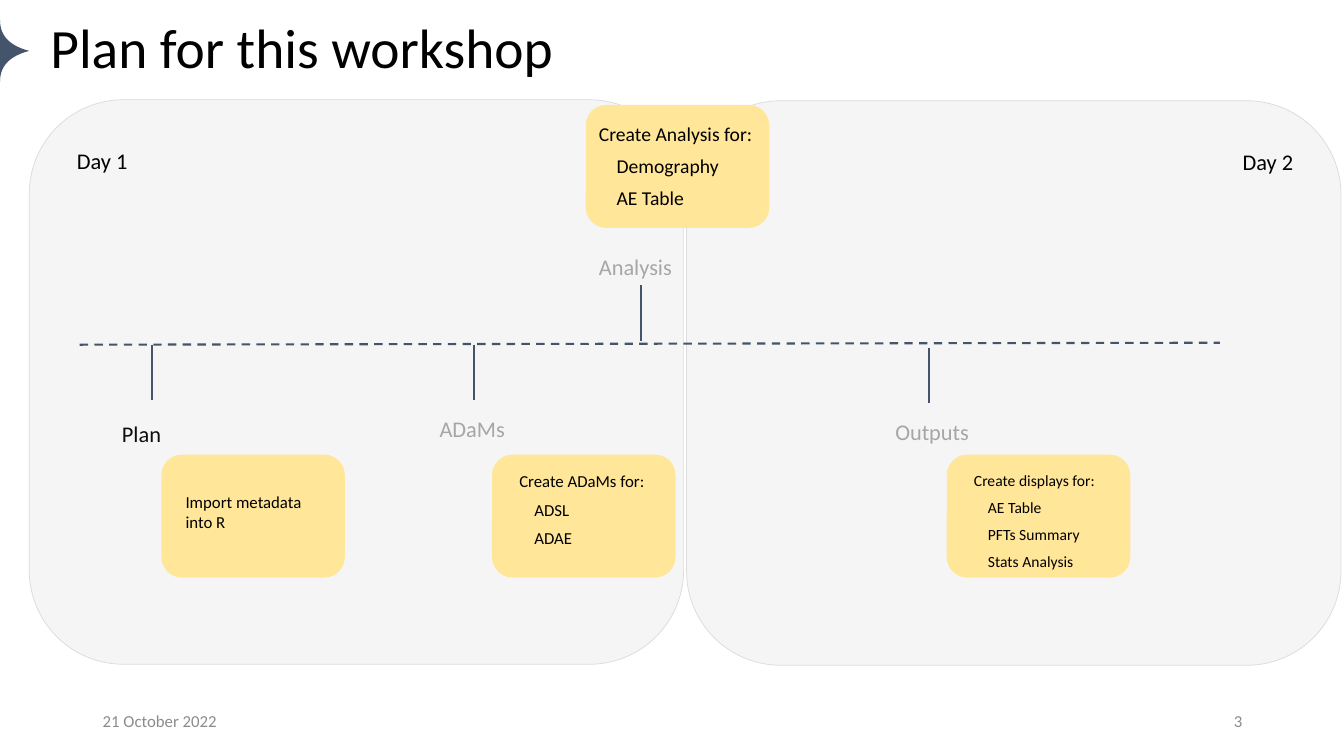
from lxml import etree
from pptx import Presentation
from pptx.dml.color import RGBColor
from pptx.enum.dml import MSO_LINE
from pptx.enum.shapes import MSO_CONNECTOR, MSO_SHAPE
from pptx.enum.text import MSO_ANCHOR, MSO_AUTO_SIZE, PP_ALIGN
from pptx.oxml.ns import qn
from pptx.util import Inches, Pt

ROUND = MSO_SHAPE.ROUNDED_RECTANGLE
STRAIGHT = MSO_CONNECTOR.STRAIGHT
DASH = MSO_LINE.DASH
LEFT, RIGHT = PP_ALIGN.LEFT, PP_ALIGN.RIGHT
TOP, MIDDLE = MSO_ANCHOR.TOP, MSO_ANCHOR.MIDDLE
NO_FIT = MSO_AUTO_SIZE.NONE

BLACK = RGBColor(0x00, 0x00, 0x00)
INK = RGBColor(0x0D, 0x0D, 0x0D)
MUTED = RGBColor(0xA6, 0xA6, 0xA6)
FOOTER = RGBColor(0x8C, 0x8C, 0x8C)
SLATE = RGBColor(0x44, 0x54, 0x6A)
PANEL = RGBColor(0xED, 0xED, 0xED)
PANEL_EDGE = RGBColor(0xDB, 0xDB, 0xDB)
YELLOW = RGBColor(0xFF, 0xE6, 0x99)

FONT = "Calibri"
TICK = 0.55
CARD_W, CARD_H = 1.82, 1.22


def write(shape, lines, size, color=BLACK, align=LEFT, anchor=TOP, inset=0.2,
          wrap=True, gap=3, spacing=None):
    """Fill a shape with lines; every line after the first is indented."""
    tf = shape.text_frame
    tf.word_wrap = wrap
    tf.auto_size = NO_FIT
    tf.vertical_anchor = anchor
    tf.margin_left = tf.margin_right = Inches(inset)
    tf.margin_top = tf.margin_bottom = Inches(min(inset, 0.2) if gap else 0.05)
    for i, line in enumerate(lines):
        p = tf.add_paragraph() if i else tf.paragraphs[0]
        p.alignment = align
        p.space_before = Pt(gap if i else 0)
        p.space_after = Pt(gap)
        if spacing:
            p.line_spacing = spacing
        if i:
            pPr = p._p.get_or_add_pPr()
            pPr.set("marL", str(Pt(0.9 * size)))
            pPr.set("indent", "0")
        r = p.add_run()
        r.text = line
        r.font.name = FONT
        r.font.size = Pt(size)
        r.font.color.rgb = color


def add_text(shapes, box, lines, size, **fmt):
    write(shapes.add_textbox(*map(Inches, box)), lines, size, **fmt)


def add_round_box(shapes, box, fill):
    sp = shapes.add_shape(ROUND, *map(Inches, box))
    sp.shadow.inherit = False
    sp.fill.solid()
    sp.fill.fore_color.rgb = fill
    sp.line.fill.background()
    return sp


def add_line(shapes, x1, y1, x2, y2, dash=None):
    line = shapes.add_connector(STRAIGHT, *map(Inches, (x1, y1, x2, y2)))
    line.line.color.rgb = SLATE
    line.line.width = Pt(1.5)
    if dash:
        line.line.dash_style = dash
    etree.SubElement(line._element.spPr, qn("a:effectLst"))


def bezier(points, steps=16):
    """Points along a cubic curve, without its start."""
    for t in (i / steps for i in range(1, steps + 1)):
        weights = ((1 - t) ** 3, 3 * t * (1 - t) ** 2, 3 * t * t * (1 - t), t ** 3)
        yield tuple(sum(w * pt[k] for w, pt in zip(weights, points))
                    for k in (0, 1))


def add_star_point(shapes, left, top, width, height):
    """Half of a four-pointed star, pointing right from the slide edge."""
    upper = [(0, 0), (0, 0.26), (0.35, 0.42), (1, 0.5)]
    lower = [(x, 1 - y) for x, y in reversed(upper)]
    outline = [(Inches(left + width * x), Inches(top + height * y))
               for curve in (upper, lower) for x, y in bezier(curve)]
    builder = shapes.build_freeform(Inches(left), Inches(top))
    builder.add_line_segments(outline, close=True)
    sp = builder.convert_to_shape()
    sp.shadow.inherit = False
    sp.fill.solid()
    sp.fill.fore_color.rgb = SLATE
    sp.line.fill.background()


def add_title(s, box, text):
    title = s.shapes.title
    title.left, title.top, title.width, title.height = map(Inches, box)
    write(title, [text], 39.6, anchor=MIDDLE, inset=0.1, gap=0, spacing=0.9)


def add_day(shapes, box, label, align):
    sp = add_round_box(shapes, box, PANEL)
    color = sp.fill._xPr.find(qn("a:solidFill"))[0]
    etree.SubElement(color, qn("a:alpha"), val="50000")
    sp.line.color.rgb = PANEL_EDGE
    sp.line.width = Pt(0.5)
    write(sp, [label], 16, align=align)


def add_milestone(shapes, x, y, label, label_at, color):
    """A tick that hangs from (x, y) and its label."""
    add_line(shapes, x, y, x, y + TICK)
    add_text(shapes, (*label_at, 1, 1), [label], 16, color=color, wrap=False)


def add_card(shapes, left, top, lines, size, text_box, wrap=False):
    """A yellow card; text_box is relative to the card's corner."""
    group = shapes.add_group_shape().shapes
    add_round_box(group, (left, top, CARD_W, CARD_H), YELLOW)
    dx, dy, w, h = text_box
    add_text(group, (left + dx, top + dy, w, h), lines, size, wrap=wrap)


def add_footer(shapes, top, date, number):
    for left, text, align in ((0.92, date, LEFT), (9.42, number, RIGHT)):
        add_text(shapes, (left, top, 3, 0.4), [text], 12, color=FOOTER,
                 align=align, anchor=MIDDLE, inset=0.1, gap=0)


def add_timeline(shapes):
    add_line(shapes, 0.79, 3.42, 12.1, 3.4, DASH)
    for milestone in (
        (1.51, 3.42, "Plan", (1.01, 3.97), INK),
        (4.7, 3.42, "ADaMs", (4.16, 3.92), MUTED),
        (6.36, 2.83, "Analysis", (5.74, 2.31), MUTED),
        (9.21, 3.45, "Outputs", (8.68, 3.95), MUTED),
    ):
        add_milestone(shapes, *milestone)

    list_box = (0.07, -0.04, 1.41, 1.3)
    add_card(shapes, 1.6, 4.51, ["Import metadata into R"], 12,
             (0.04, 0.17, 1.81, 0.95), wrap=True)
    add_card(shapes, 4.88, 4.51, ["Create ADaMs for:", "ADSL", "ADAE"], 12, list_box)
    add_card(shapes, 5.81, 1.04, ["Create Analysis for:", "Demography", "AE Table"],
             14, (-0.07, -0.03, 1.41, 1.3))
    add_card(shapes, 9.39, 4.51, ["Create displays for:", "AE Table", "PFTs Summary",
                                  "Stats Analysis"], 11.1, list_box)


def main():
    prs = Presentation()
    prs.slide_width, prs.slide_height = Inches(13.33), Inches(7.5)
    s = prs.slides.add_slide(prs.slide_layouts[5])
    add_star_point(s.shapes, 0, 0.2, 0.29, 0.61)
    add_day(s.shapes, (6.81, 1, 6.49, 5.6), "Day 2", RIGHT)
    add_day(s.shapes, (0.29, 0.99, 6.49, 5.6), "Day 1", LEFT)
    add_footer(s.shapes, 6.95, "21 October 2022", "3")
    add_title(s, (0.4, 0.27, 12.53, 0.47), "Plan for this workshop")
    add_timeline(s.shapes)
    prs.save("out.pptx")


if __name__ == "__main__":
    main()
